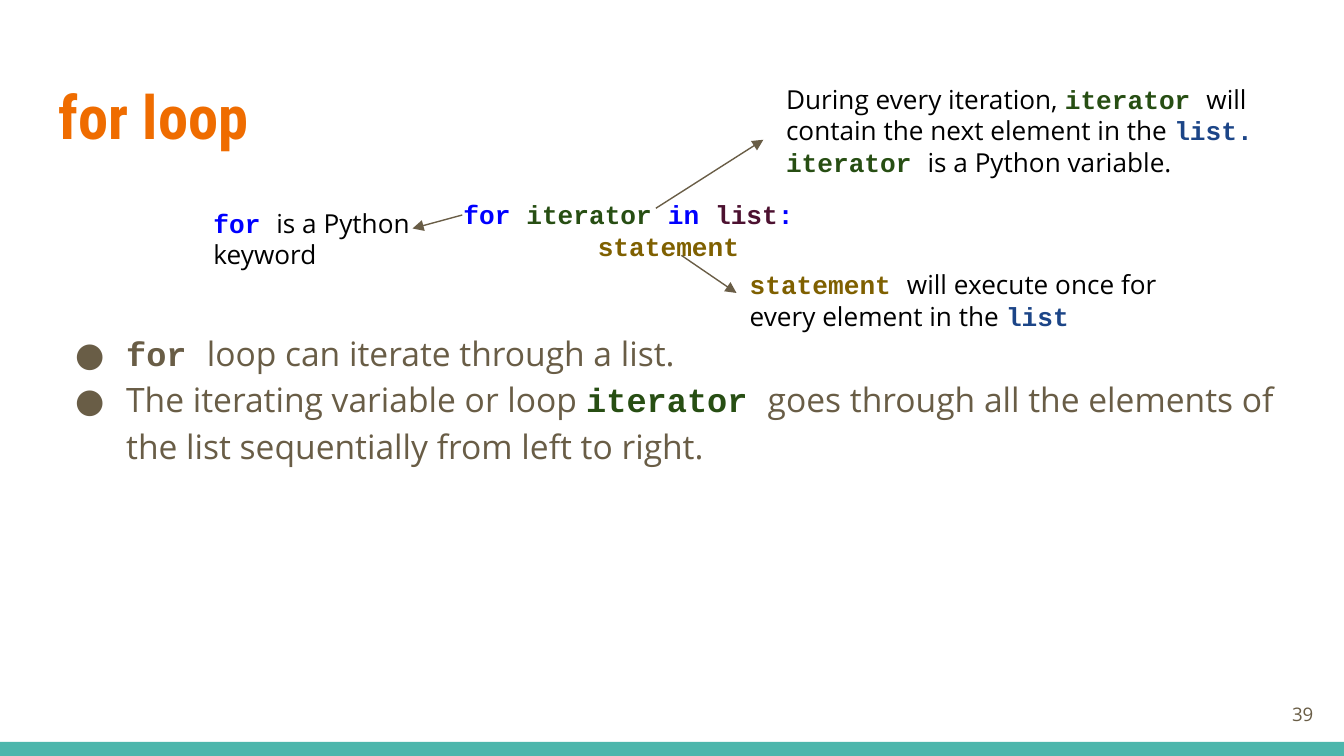
from dataclasses import dataclass

from lxml import etree
from pptx import Presentation
from pptx.dml.color import RGBColor
from pptx.enum import shapes, text
from pptx.oxml import ns
from pptx.util import Inches, Pt


@dataclass(frozen=True)
class Theme:
    heading: str = "Roboto Condensed"
    prose: str = "Open Sans"
    code: str = "Courier New"
    accent: str = "EF6C00"
    bar: str = "4DB6AC"
    body: str = "695D46"
    black: str = "000000"
    keyword: str = "0000FF"
    iterator: str = "274E13"
    sequence: str = "4C1130"
    list_name: str = "1C4587"
    statement: str = "7F6000"
    title_size: float = 32.4
    body_size: float = 18
    note_size: float = 14
    number_size: float = 10


THEME = Theme()


def prose(words, color=THEME.black):
    return words, THEME.prose, color, False


def code(words, color):
    return words, THEME.code, color, True


def add_text(slide, box, paragraphs, size):
    """Add a text box; each paragraph is a list of (words, font, color, bold)."""
    frame = slide.shapes.add_textbox(*map(Inches, box)).text_frame
    frame.word_wrap = True
    frame.margin_left = frame.margin_right = Inches(0.1)
    frame.margin_top = frame.margin_bottom = Inches(0.1)
    for index, pieces in enumerate(paragraphs):
        paragraph = frame.paragraphs[0] if index == 0 else frame.add_paragraph()
        for words, font, color, bold in pieces:
            run = paragraph.add_run()
            run.text = words
            run.font.name = font
            run.font.size = Pt(size)
            run.font.bold = bold
            run.font.color.rgb = RGBColor.from_string(color)
    return frame


def add_bullet(paragraph):
    properties = paragraph._p.get_or_add_pPr()
    properties.set("marL", str(Inches(0.5)))
    properties.set("indent", str(Inches(-0.38)))
    color = etree.SubElement(properties, ns.qn("a:buClr"))
    etree.SubElement(color, ns.qn("a:srgbClr"), val=THEME.body)
    etree.SubElement(properties, ns.qn("a:buSzPts"), val=str(THEME.body_size * 100))
    etree.SubElement(properties, ns.qn("a:buFont"), typeface=THEME.prose)
    etree.SubElement(properties, ns.qn("a:buChar"), char="●")


def add_arrow(slide, start, end):
    arrow = slide.shapes.add_connector(
        shapes.MSO_CONNECTOR.STRAIGHT, *map(Inches, start + end))
    arrow.line.color.rgb = RGBColor.from_string(THEME.body)
    arrow.line.width = Pt(0.75)
    etree.SubElement(arrow.line._get_or_add_ln(), ns.qn("a:tailEnd"), type="triangle")
    etree.SubElement(arrow._element.spPr, ns.qn("a:effectLst"))


def add_title(slide, box):
    add_text(slide, box, [[("for loop", THEME.heading, THEME.accent, True)]],
             THEME.title_size)


def add_bullets(slide, box, offset):
    """Add the bulleted text, starting at offset below the top of the box."""
    frame = add_text(slide, box, [
        [code("for ", THEME.body),
         prose("loop can iterate through a list.", THEME.body)],
        [prose("The iterating variable or loop ", THEME.body),
         code("iterator ", THEME.iterator),
         prose("goes through all the elements of the list sequentially "
               "from left to right.", THEME.body)],
    ], THEME.body_size)
    frame.margin_top = Inches(offset)
    for paragraph in frame.paragraphs:
        paragraph.line_spacing = 1.15
        add_bullet(paragraph)


def add_syntax_diagram(slide, box):
    """Add the loop syntax at the box, with notes and arrows around it."""
    left, top, width, height = box

    def near(x, y):
        return left + x, top + y

    syntax = add_text(slide, box, [
        [code("for ", THEME.keyword), code("iterator ", THEME.iterator),
         code("in ", THEME.keyword), code("list", THEME.sequence),
         code(":", THEME.keyword)],
        [code("statement", THEME.statement)],
    ], THEME.note_size)
    syntax.paragraphs[1]._p.get_or_add_pPr().set("marL", str(Inches(1)))

    notes = [
        (near(-1.86, 0.06) + (1.83, height),
         [[code("for ", THEME.keyword), prose("is a Python keyword")]]),
        (near(2.4, -0.86) + (3.91, 0.91),
         [[prose("During every iteration, "), code("iterator ", THEME.iterator),
           prose("will contain the next element in the "),
           code("list.", THEME.list_name)],
          [code("iterator ", THEME.iterator), prose("is a Python variable.")]]),
        (near(2.13, 0.52) + (3.7, height),
         [[code("statement ", THEME.statement),
           prose("will execute once for every element in the "),
           code("list", THEME.list_name)]]),
    ]
    for note_box, paragraphs in notes:
        add_text(slide, note_box, paragraphs, THEME.note_size)

    arrows = [
        (near(0.09, 0.22), near(-0.28, 0.32)),
        (near(1.53, 0.17), near(2.33, -0.34)),
        (near(1.72, 0.52), near(2.13, 0.8)),
    ]
    for start, end in arrows:
        add_arrow(slide, start, end)


def add_footer(slide, bar_box, number_box):
    bar = slide.shapes.add_shape(
        shapes.MSO_SHAPE.RECTANGLE, *map(Inches, bar_box))
    bar.shadow.inherit = False
    bar.fill.solid()
    bar.fill.fore_color.rgb = RGBColor.from_string(THEME.bar)
    bar.line.fill.background()
    number = add_text(slide, number_box, [[prose("39", THEME.body)]],
                      THEME.number_size)
    number.vertical_anchor = text.MSO_ANCHOR.MIDDLE
    number.paragraphs[0].alignment = text.PP_ALIGN.RIGHT


def main():
    presentation = Presentation()
    presentation.slide_width = Inches(10)
    presentation.slide_height = presentation.slide_width * 9 // 16
    slide = presentation.slides.add_slide(presentation.slide_layouts[6])
    add_footer(slide, (0, 5.52, 10, 0.11), (9.27, 5.1, 0.6, 0.43))
    add_title(slide, (0.34, 0.49, 9.32, 0.77))
    add_bullets(slide, (0.34, 1.38, 9.32, 3.61), offset=1.17)
    add_syntax_diagram(slide, (3.35, 1.38, 3.3, 0.67))
    presentation.save("out.pptx")


if __name__ == "__main__":
    main()
